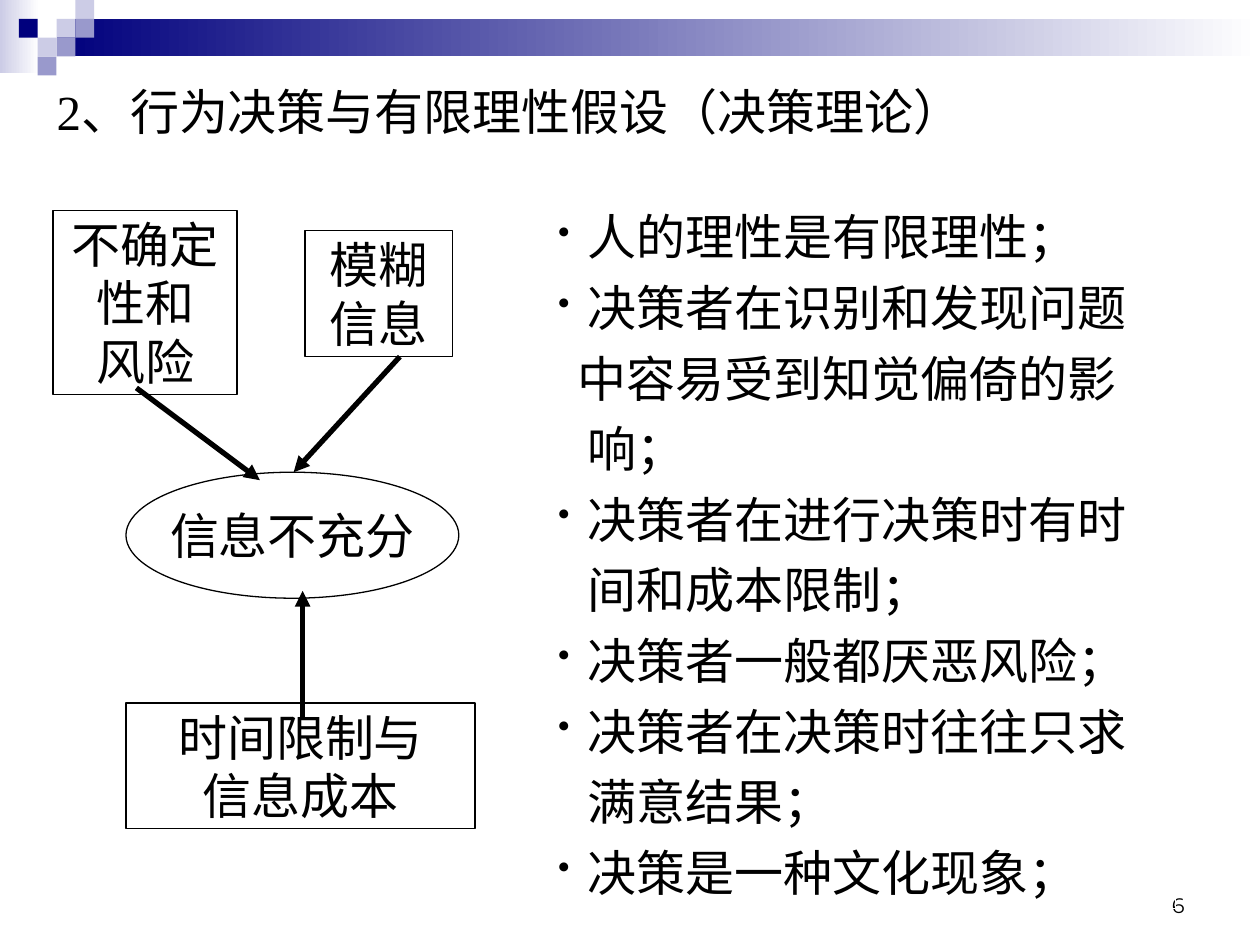
from collections import namedtuple

from lxml import etree
from pptx import Presentation
from pptx.dml.color import RGBColor
from pptx.enum import shapes, text
from pptx.oxml.ns import qn
from pptx.util import Cm, Pt

Box = namedtuple("Box", "left top width height")

BLACK = RGBColor(0x00, 0x00, 0x00)
WHITE = RGBColor(0xFF, 0xFF, 0xFF)
NAVY = RGBColor(0x00, 0x00, 0x7D)
LILAC = RGBColor(0xCC, 0xCC, 0xE6)
VIOLET = RGBColor(0x99, 0x99, 0xCC)

RECTANGLE = shapes.MSO_SHAPE.RECTANGLE
OVAL = shapes.MSO_SHAPE.OVAL
TITLE_ONLY = 5
TILE = 0.38
HANGING = 0.6

# (wording, left indent in cm); None marks a bulleted line
FINDINGS = [
    ("人的理性是有限理性；", None),
    ("决策者在识别和发现问题", None),
    ("中容易受到知觉偏倚的影", 0.4),
    ("响；", HANGING),
    ("决策者在进行决策时有时", None),
    ("间和成本限制；", HANGING),
    ("决策者一般都厌恶风险；", None),
    ("决策者在决策时往往只求", None),
    ("满意结果；", HANGING),
    ("决策是一种文化现象；", None),
]


def inside(box, left, top, width, height):
    """Turn a place relative to the box into a place on the slide."""
    return Box(box.left + left, box.top + top, width, height)


def lengths(box):
    return [Cm(value) for value in box]


def add_shape(slide, kind, box, fill=None, line=None):
    """Add a preset shape; a pair of colours as fill makes a gradient."""
    shape = slide.shapes.add_shape(kind, *lengths(box))
    shape.shadow.inherit = False
    if fill is None:
        shape.fill.background()
    elif isinstance(fill, list):
        shape.fill.gradient()
        shape.fill.gradient_angle = 0
        for stop, color in zip(shape.fill.gradient_stops, fill):
            stop.color.rgb = color
    else:
        shape.fill.solid()
        shape.fill.fore_color.rgb = fill
    if line is None:
        shape.line.fill.background()
    else:
        shape.line.color.rgb = line
        shape.line.width = Pt(0.75)
    return shape


def set_indent(paragraph, left, bullet):
    properties = paragraph._p.get_or_add_pPr()
    properties.set("marL", str(Cm(left)))
    properties.set("indent", str(-Cm(left) if bullet else 0))
    if bullet:
        color = etree.SubElement(properties, qn("a:buClr"))
        etree.SubElement(color, qn("a:srgbClr"), val=str(BLACK))
        etree.SubElement(properties, qn("a:buSzPct"), val="70000")
        etree.SubElement(properties, qn("a:buChar"), char="•")


def write(shape, lines, size=28, font="Times New Roman", align=text.PP_ALIGN.LEFT,
          anchor=text.MSO_ANCHOR.TOP, wrap=True, spacing=1.0, indents=None):
    """Fill the shape with one paragraph for each line."""
    frame = shape.text_frame
    frame.word_wrap = wrap
    frame.auto_size = text.MSO_AUTO_SIZE.NONE
    frame.vertical_anchor = anchor
    for index, line in enumerate(lines):
        paragraph = frame.add_paragraph() if index else frame.paragraphs[0]
        paragraph.alignment = align
        paragraph.line_spacing = spacing
        paragraph.space_before = Pt(0)
        if indents:
            bullet = indents[index] is None
            set_indent(paragraph, HANGING if bullet else indents[index], bullet)
        run = paragraph.add_run()
        run.text = line
        run.font.size = Pt(size)
        run.font.name = font
        run.font.color.rgb = BLACK


def add_arrow(slide, box, start, end):
    points = [Cm(value) for x, y in (start, end) for value in (box.left + x, box.top + y)]
    arrow = slide.shapes.add_connector(shapes.MSO_CONNECTOR.STRAIGHT, *points)
    arrow.line.color.rgb = BLACK
    arrow.line.width = Pt(3)
    etree.SubElement(arrow.line._get_or_add_ln(), qn("a:tailEnd"), type="triangle")
    etree.SubElement(arrow._element.spPr, qn("a:effectLst"))


def add_header_band(slide, box):
    add_shape(slide, RECTANGLE, inside(box, 0, 0, 0.79, box.height), [LILAC, WHITE])
    bar_left = 3 * TILE
    add_shape(slide, RECTANGLE,
              inside(box, bar_left, TILE, box.width - bar_left, 2 * TILE), [NAVY, WHITE])
    tiles = [(3, 1, LILAC), (4, 0, LILAC), (4, 1, VIOLET), (2, 2, LILAC),
             (1, 1, NAVY), (3, 2, VIOLET), (2, 3, VIOLET)]
    for column, row, color in tiles:
        add_shape(slide, RECTANGLE,
                  inside(box, column * TILE, row * TILE, TILE, TILE), color)


def add_title(slide, box):
    title = slide.shapes.title
    title.left, title.top, title.width, title.height = lengths(box)
    write(title, ["2、行为决策与有限理性假设（决策理论）"])


def add_findings(slide, box):
    panel = add_shape(slide, RECTANGLE, box, line=WHITE)
    lines, indents = zip(*FINDINGS)
    write(panel, lines, spacing=1.2, indents=indents)


def add_causes_diagram(slide, box):
    """Draw the three causes and their arrows to the shared result."""
    nodes = [
        (RECTANGLE, (0, 0, 3.71, 3.71), ["不确定", "性和", "风险"]),
        (RECTANGLE, (5.08, 0.41, 2.97, 2.54), ["模糊", "信息"]),
        (OVAL, (1.47, 5.28, 6.71, 2.54), ["信息不充分"]),
        (RECTANGLE, (1.47, 9.93, 7.04, 2.54), ["时间限制与", "信息成本"]),
    ]
    for kind, place, lines in nodes:
        node = add_shape(slide, kind, inside(box, *place), line=BLACK)
        write(node, lines, align=text.PP_ALIGN.CENTER,
              anchor=text.MSO_ANCHOR.MIDDLE, wrap=False)
    arrows = [((1.68, 3.58), (4.17, 5.44)),
              ((5.03, 10.21), (5.03, 7.67)),
              ((6.99, 2.95), (4.85, 5.28))]
    for start, end in arrows:
        add_arrow(slide, box, start, end)


def add_page_number(slide, box):
    number = slide.shapes.add_textbox(*lengths(box))
    write(number, ["6"], size=12, font="Montserrat",
          align=text.PP_ALIGN.RIGHT, anchor=text.MSO_ANCHOR.BOTTOM)


def main():
    presentation = Presentation()
    presentation.slide_width, presentation.slide_height = Cm(25.4), Cm(19.05)
    slide = presentation.slides.add_slide(presentation.slide_layouts[TITLE_ONLY])
    add_header_band(slide, Box(0, 0, 25.4, 1.47))
    add_page_number(slide, Box(18.21, 17.35, 5.92, 1.27))
    add_title(slide, Box(0.89, 1.52, 19.79, 1.45))
    add_findings(slide, Box(11, 3.81, 12.7, 14.5))
    add_causes_diagram(slide, Box(1.07, 4.24, 8.51, 12.47))
    presentation.save("out.pptx")


if __name__ == "__main__":
    main()
